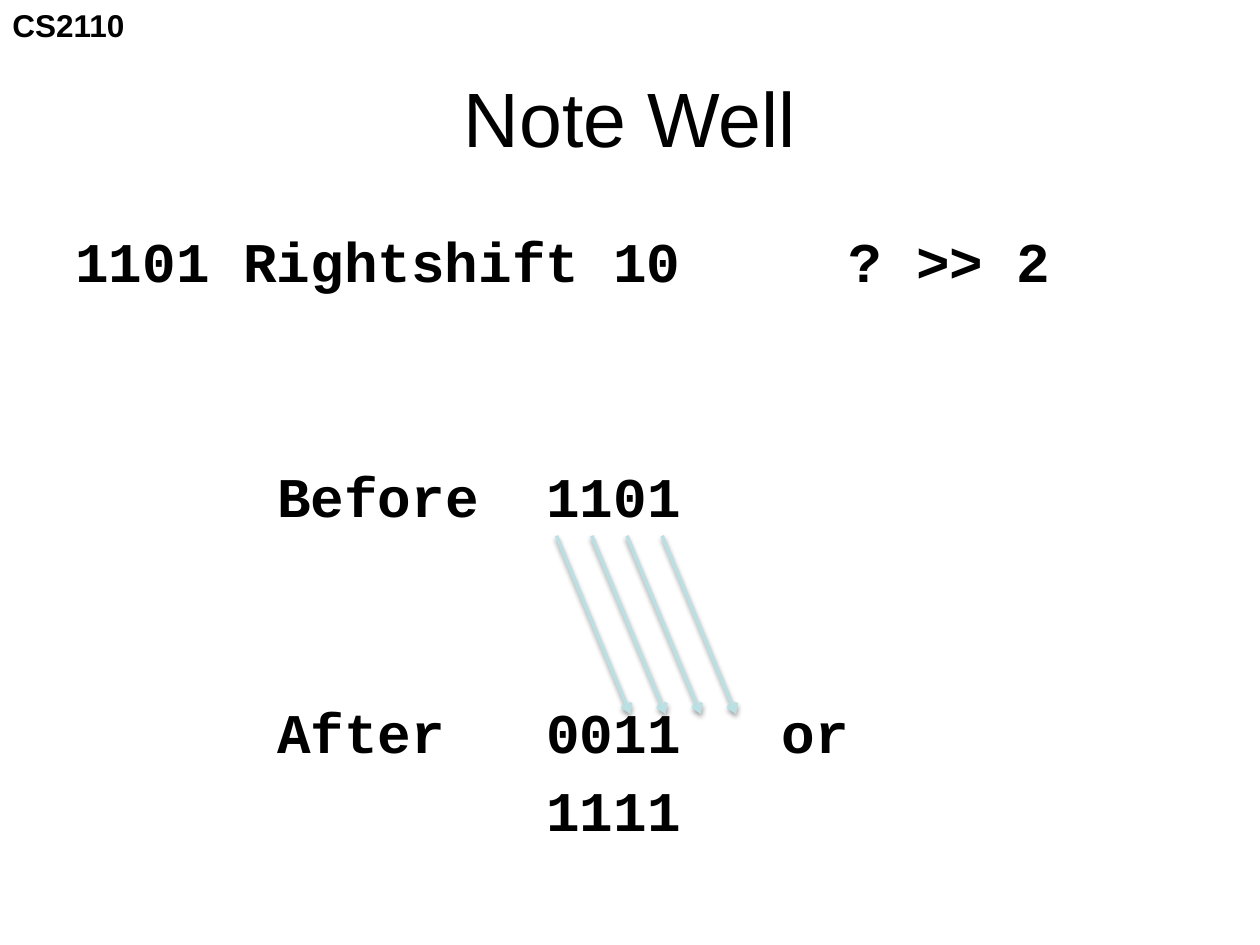
from dataclasses import dataclass

from lxml.etree import SubElement
from pptx import Presentation
from pptx.dml.color import RGBColor
from pptx.enum.shapes import MSO_CONNECTOR
from pptx.enum.text import MSO_ANCHOR, MSO_AUTO_SIZE, PP_ALIGN
from pptx.oxml import parse_xml
from pptx.oxml.ns import nsdecls, qn
from pptx.util import Cm, Pt


@dataclass(frozen=True)
class Theme:
    ink: RGBColor = RGBColor(0x00, 0x00, 0x00)
    shift: RGBColor = RGBColor(0xBB, 0xE0, 0xE3)
    sans: str = "Arial"
    mono: str = "Courier New"
    title: int = 44
    code: int = 32
    tag: int = 18
    line: int = 2


@dataclass(frozen=True)
class Row:
    text: str
    stops: tuple[int, ...]  # tab stops, counted in characters
    before: float = 0


THEME = Theme()
CHAR = Pt(THEME.code * 0.6 + 0.02)  # advance of one monospaced character
GAP, BREAK = 6.4, 96.2  # points before a next line and before a new block

ROWS = (
    Row("1101 Rightshift 10\t? >> 2", (23,)),
    Row("\tBefore\t1101", (6, 14), BREAK),
    Row("\tAfter\t0011\tor", (6, 14, 21), BREAK),
    Row("\t1111", (14,), GAP),
)


def write(para, text: str, *, size: int, font: str = THEME.sans,
          bold: bool = False, align=PP_ALIGN.LEFT, before: float = 0,
          stops: tuple[int, ...] = ()) -> None:
    """Fill a paragraph with formatted text."""
    if stops:
        tabs = SubElement(para._p.get_or_add_pPr(), qn("a:tabLst"))
        for stop in stops:
            SubElement(tabs, qn("a:tab"), pos=str(stop * CHAR), algn="l")
    para.alignment = align
    if before:
        para.space_before = Pt(before)
    run = para.add_run()
    run.text = text
    run.font.size, run.font.name, run.font.bold = Pt(size), font, bold
    run.font.color.rgb = THEME.ink


def arrow(slide, left: Cm, top: Cm, right: Cm, foot: Cm) -> None:
    """Draw one shift arrow with a soft shadow."""
    link = slide.shapes.add_connector(
        MSO_CONNECTOR.STRAIGHT, left, top, right, foot)
    link.line.color.rgb = THEME.shift
    link.line.width = Pt(THEME.line)
    SubElement(link.line._get_or_add_ln(), qn("a:tailEnd"), type="arrow")
    link._element.spPr.append(parse_xml(
        f'<a:effectLst {nsdecls("a")}>'
        f'<a:outerShdw blurRad="{Pt(3.1)}" dist="{Pt(1.6)}" dir="5400000" '
        'rotWithShape="0"><a:srgbClr val="000000"><a:alpha val="38000"/>'
        '</a:srgbClr></a:outerShdw></a:effectLst>'))


def main() -> None:
    deck = Presentation()
    deck.slide_width, deck.slide_height = Cm(25.4), Cm(19.05)
    slide = deck.slides.add_slide(deck.slide_layouts[5])

    # Course tag
    tag = slide.shapes.add_textbox(0, 0, Cm(2.79), Cm(1.02)).text_frame
    tag.word_wrap = False
    write(tag.paragraphs[0], "CS2110", size=THEME.tag, bold=True)

    # Title
    title = slide.shapes.title
    title.left, title.top = Cm(1.27), Cm(0.76)
    title.width, title.height = Cm(22.86), Cm(3.18)
    title.text_frame.auto_size = MSO_AUTO_SIZE.NONE
    title.text_frame.vertical_anchor = MSO_ANCHOR.MIDDLE
    write(title.text_frame.paragraphs[0], "Note Well", size=THEME.title,
          align=PP_ALIGN.CENTER)

    # Bits before and after the shift
    body = slide.shapes.add_textbox(
        Cm(1.27), Cm(4.45), Cm(22.86), Cm(14.17)).text_frame
    body.word_wrap = True
    body.margin_top = Cm(0.11)
    for i, row in enumerate(ROWS):
        para = body.add_paragraph() if i else body.paragraphs[0]
        write(para, row.text, size=THEME.code, font=THEME.mono, bold=True,
              before=row.before, stops=row.stops)

    # One arrow per bit
    for bit in range(4):
        left = 11.22 + bit * 0.71
        arrow(slide, Cm(left), Cm(10.8), Cm(left + 1.49), Cm(14.4))

    deck.save("out.pptx")


if __name__ == "__main__":
    main()
